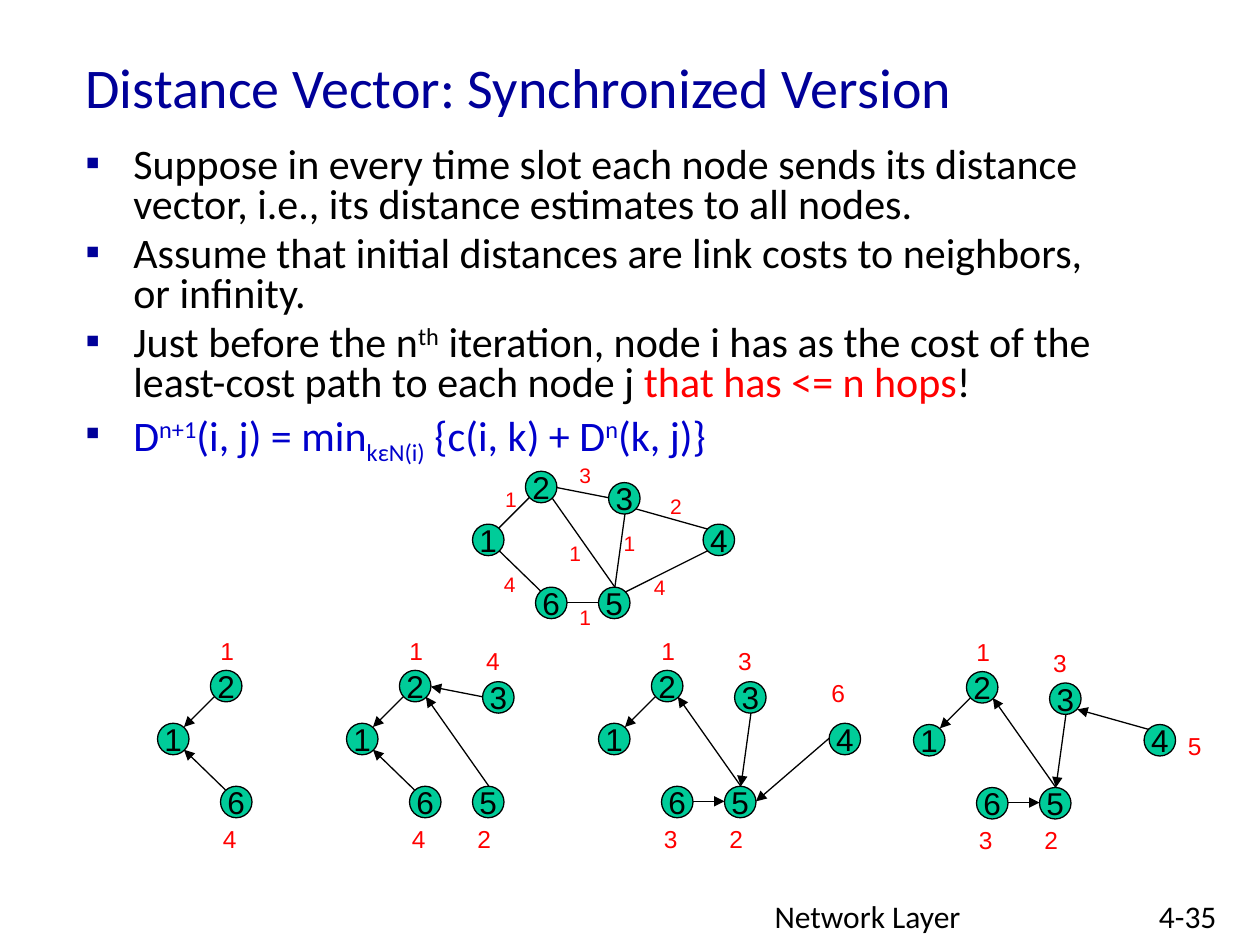
"""Build a slide on the synchronized distance vector algorithm."""
from lxml.etree import SubElement
from pptx import Presentation
from pptx.dml.color import RGBColor
from pptx.enum.shapes import MSO_CONNECTOR, MSO_SHAPE
from pptx.enum.text import MSO_ANCHOR, MSO_AUTO_SIZE, PP_ALIGN
from pptx.oxml.ns import qn
from pptx.util import Inches, Pt

NAVY = RGBColor(0x00, 0x00, 0x99)
BLUE = RGBColor(0x00, 0x00, 0xCC)
RED = RGBColor(0xFF, 0x00, 0x00)
BLACK = RGBColor(0x00, 0x00, 0x00)
GREEN = RGBColor(0x00, 0xCC, 0x99)

SUPER, SUB = 30, -25
TITLE = "Distance Vector: Synchronized Version"
FOOTERS = [("Network Layer", 6.05, 3.17), ("4-35", 9.1, 0.74)]
BULLETS = [
    [("Suppose in every time slot each node sends its distance vector, "
      "i.e., its distance estimates to all nodes.", BLACK, 0)],
    [("Assume that initial distances are link costs to neighbors, or infinity.", BLACK, 0)],
    [("Just before the n", BLACK, 0), ("th", BLACK, SUPER),
     (" iteration, node i has as the cost of the least-cost path to each node j ", BLACK, 0),
     ("that has <= n hops", RED, 0), ("!", BLACK, 0)],
    [("D", BLUE, 0), ("n+1", BLUE, SUPER), ("(i, j) = min", BLUE, 0), ("kεN(i)", BLUE, SUB),
     (" {c(i, k) + D", BLUE, 0), ("n", BLUE, SUPER), ("(k, j)}", BLUE, 0)],
]

NODE_SIZE = 0.25
NODES = {1: (0, 0), 2: (0.42, -0.42), 3: (1.08, -0.33),
         4: (1.83, 0), 5: (1, 0.5), 6: (0.5, 0.5)}
EDGES = {
    (2, 1): ((0.45, -0.21), (0.21, 0.03)),
    (6, 1): ((0.54, 0.53), (0.21, 0.21)),
    (3, 2): ((1.08, -0.21), (0.67, -0.29)),
    (5, 2): ((1.13, 0.5), (0.63, -0.21)),
    (3, 5): ((1.21, -0.08), (1.13, 0.5)),
    (6, 5): ((0.75, 0.62), (1, 0.62)),
    (4, 3): ((1.87, 0.04), (1.3, -0.12)),
    (4, 5): ((1.83, 0.12), (1.25, 0.62)),
    (5, 4): ((1.21, 0.54), (1.87, 0.21)),
}
COST_SPOTS = {2: (0.4, -0.74), 3: (1.01, -0.66), 5: (0.94, 0.75), 6: (0.42, 0.75)}
ABOVE_FOUR, BESIDE_FOUR = (1.75, -0.41), (2.08, 0)

NETWORK_ORIGIN = (3.75, 4.16)
NETWORK_EDGES = [(2, 1), (6, 1), (3, 2), (5, 2), (3, 5), (6, 5), (4, 3), (5, 4)]
LINK_COSTS = [(1, 0.16, -0.35), (4, 0.15, 0.33), (1, 0.67, 0.08), (1, 1.1, 0),
              (4, 1.34, 0.35), (2, 1.47, -0.29), (3, 0.75, -0.54), (1, 0.75, 0.59)]
TREES = [
    {"origin": (1.25, 5.74), "edges": [(2, 1), (6, 1)], "costs": {2: 1, 6: 4}},
    {"origin": (2.75, 5.74), "edges": [(2, 1), (6, 1), (3, 2), (5, 2)],
     "costs": {2: 1, 3: 4, 5: 2, 6: 4}},
    {"origin": (4.75, 5.74), "edges": [(2, 1), (5, 2), (3, 5), (6, 5), (4, 5)],
     "costs": {2: 1, 3: 3, 4: 6, 5: 2, 6: 3}, "four": ABOVE_FOUR},
    {"origin": (7.25, 5.75), "edges": [(2, 1), (5, 2), (3, 5), (6, 5), (4, 3)],
     "costs": {2: 1, 3: 3, 4: 5, 5: 2, 6: 3}, "four": BESIDE_FOUR},
]


def shifted(origin, offset):
    return [Inches(start + step) for start, step in zip(origin, offset)]


def add_run(paragraph, text, size, color, font="Calibri", baseline=0):
    run = paragraph.add_run()
    run.text = text
    run.font.size = Pt(size)
    run.font.name = font
    run.font.color.rgb = color
    if baseline:
        run.font._element.set("baseline", str(baseline * 1000))


def add_frame(slide, left, top, width, height):
    box = slide.shapes.add_textbox(Inches(left), Inches(top), Inches(width), Inches(height))
    box.text_frame.word_wrap = True
    return box.text_frame


def add_bullets(slide):
    frame = add_frame(slide, 0.58, 1.12, 8.42, 1.54)
    for index, runs in enumerate(BULLETS):
        paragraph = frame.add_paragraph() if index else frame.paragraphs[0]
        paragraph.line_spacing = 0.8
        paragraph.space_before = Pt(4.8)
        properties = paragraph._p.get_or_add_pPr()
        properties.set("marL", str(Inches(0.38)))
        properties.set("indent", str(-Inches(0.38)))
        bullet_color = SubElement(properties, qn("a:buClr"))
        SubElement(bullet_color, qn("a:srgbClr"), val=str(NAVY))
        SubElement(properties, qn("a:buFont"), typeface="Arial")
        SubElement(properties, qn("a:buChar"), char="▪")
        for text, color, baseline in runs:
            add_run(paragraph, text, 24, color, baseline=baseline)


def add_node(slide, number, origin):
    left, top = shifted(origin, NODES[number])
    node = slide.shapes.add_shape(MSO_SHAPE.FLOWCHART_CONNECTOR, left, top,
                                  Inches(NODE_SIZE), Inches(NODE_SIZE))
    node.shadow.inherit = False
    node.fill.solid()
    node.fill.fore_color.rgb = GREEN
    node.line.color.rgb = BLACK
    node.line.width = Pt(0.75)
    frame = node.text_frame
    frame.word_wrap = False
    frame.vertical_anchor = MSO_ANCHOR.MIDDLE
    frame.paragraphs[0].alignment = PP_ALIGN.CENTER
    add_run(frame.paragraphs[0], str(number), 18, BLACK, "Arial")


def add_edge(slide, edge, origin, arrow):
    start, end = EDGES[edge]
    connector = slide.shapes.add_connector(MSO_CONNECTOR.STRAIGHT,
                                           *shifted(origin, start), *shifted(origin, end))
    connector.line.color.rgb = BLACK
    connector.line.width = Pt(0.75)
    if arrow:
        SubElement(connector.line._get_or_add_ln(), qn("a:tailEnd"), type="triangle")
    SubElement(connector._element.spPr, qn("a:effectLst"))


def add_graph(slide, origin, edges, arrow):
    for number in sorted({1}.union(*edges)):
        add_node(slide, number, origin)
    for edge in edges:
        add_edge(slide, edge, origin, arrow)


def add_cost(slide, cost, origin, offset, size, width, height):
    left, top = shifted(origin, offset)
    box = slide.shapes.add_textbox(left, top, Inches(width), Inches(height))
    box.text_frame.word_wrap = False
    box.text_frame.auto_size = MSO_AUTO_SIZE.SHAPE_TO_FIT_TEXT
    add_run(box.text_frame.paragraphs[0], str(cost), size, RED, "Arial")


def main():
    presentation = Presentation()
    presentation.slide_width, presentation.slide_height = Inches(10), Inches(7.5)
    slide = presentation.slides.add_slide(presentation.slide_layouts[6])

    for text, left, width in FOOTERS:
        add_run(add_frame(slide, left, 7.07, width, 0.31).paragraphs[0], text, 18, BLACK)
    title = add_frame(slide, 0.58, 0.25, 8.5, 0.87)
    title.vertical_anchor = MSO_ANCHOR.MIDDLE
    add_run(title.paragraphs[0], TITLE, 32, NAVY)
    add_bullets(slide)

    add_graph(slide, NETWORK_ORIGIN, NETWORK_EDGES, arrow=False)
    for cost, *offset in LINK_COSTS:
        add_cost(slide, cost, NETWORK_ORIGIN, offset, 12, 0.29, 0.3)
    for tree in TREES:
        add_graph(slide, tree["origin"], tree["edges"], arrow=True)
        spots = {**COST_SPOTS, 4: tree.get("four")}
        for number, cost in tree["costs"].items():
            add_cost(slide, cost, tree["origin"], spots[number], 14, 0.31, 0.33)

    presentation.save("out.pptx")


if __name__ == "__main__":
    main()
